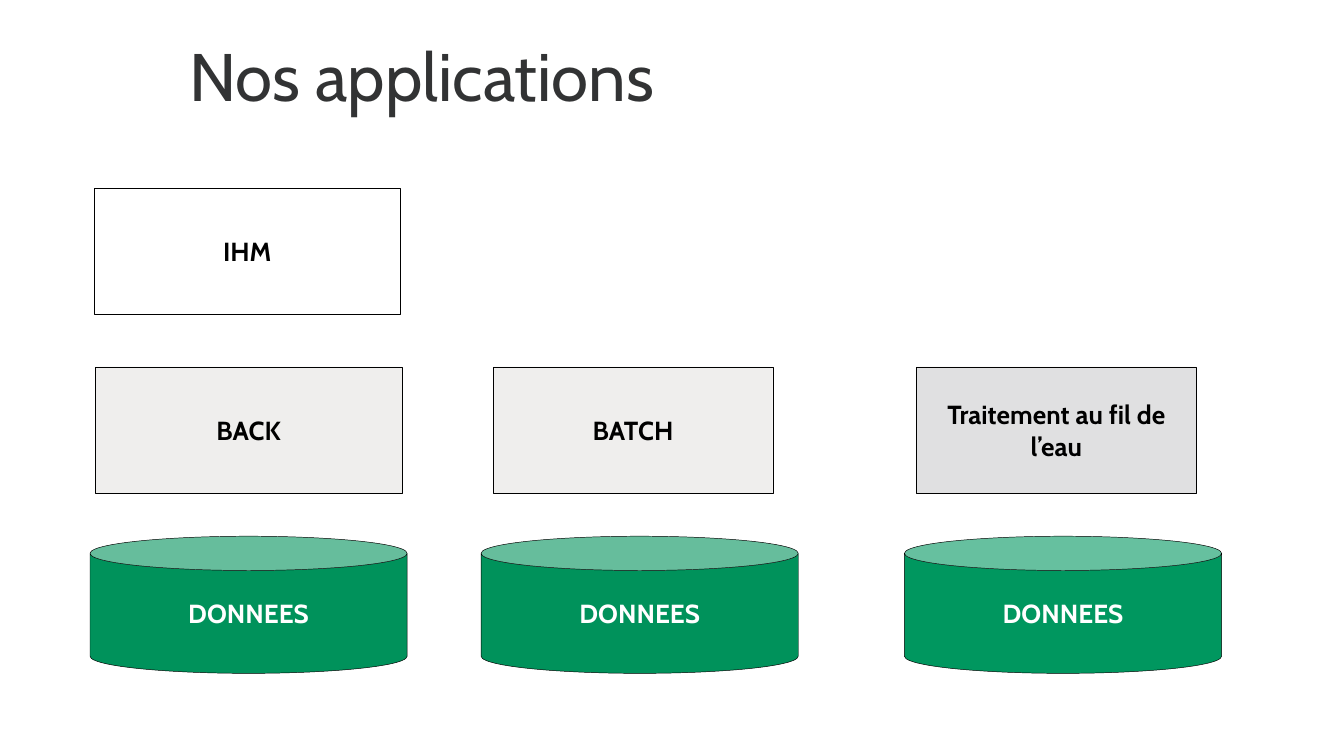
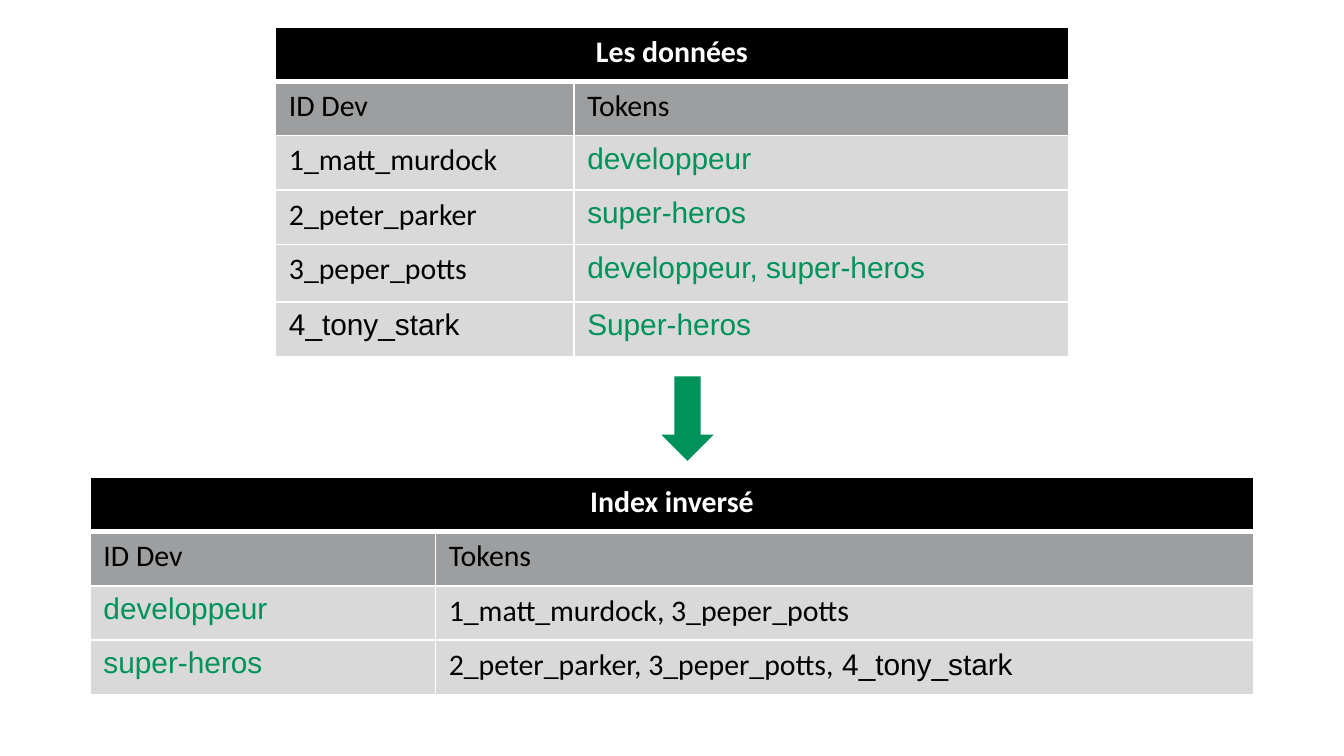
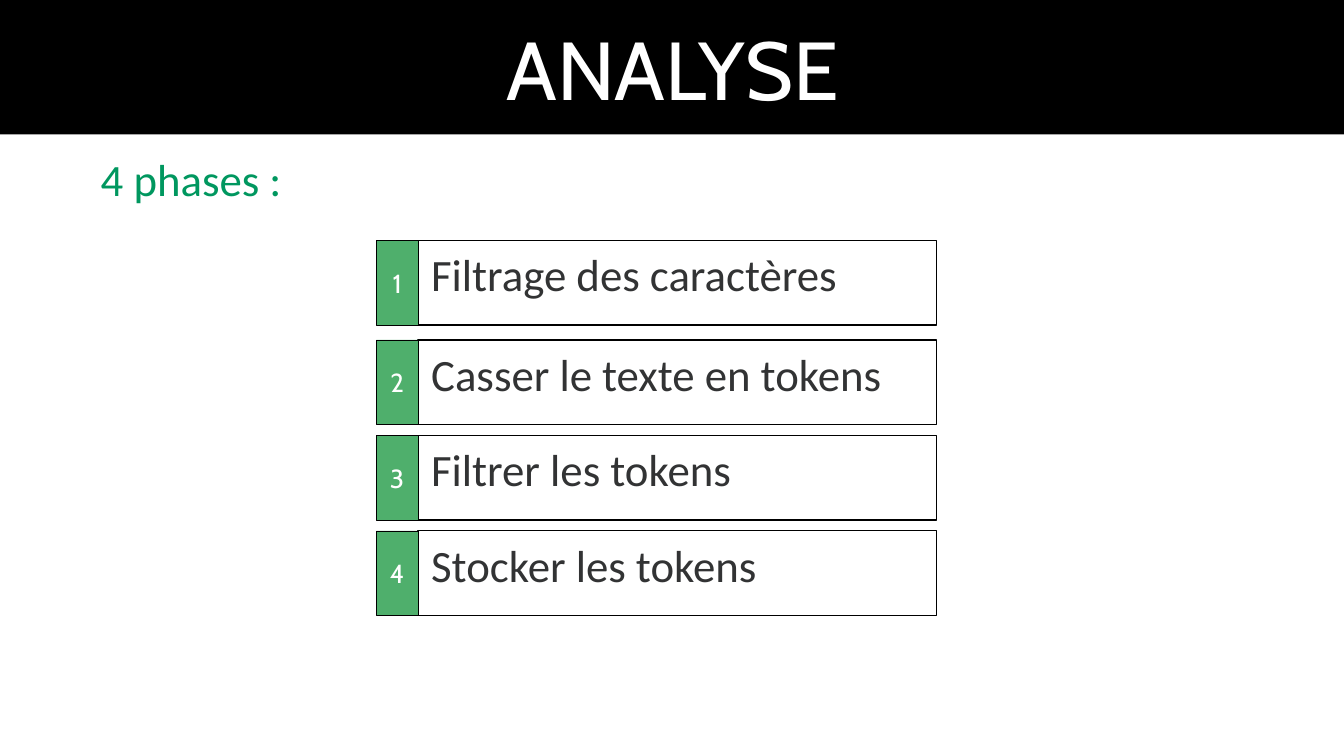
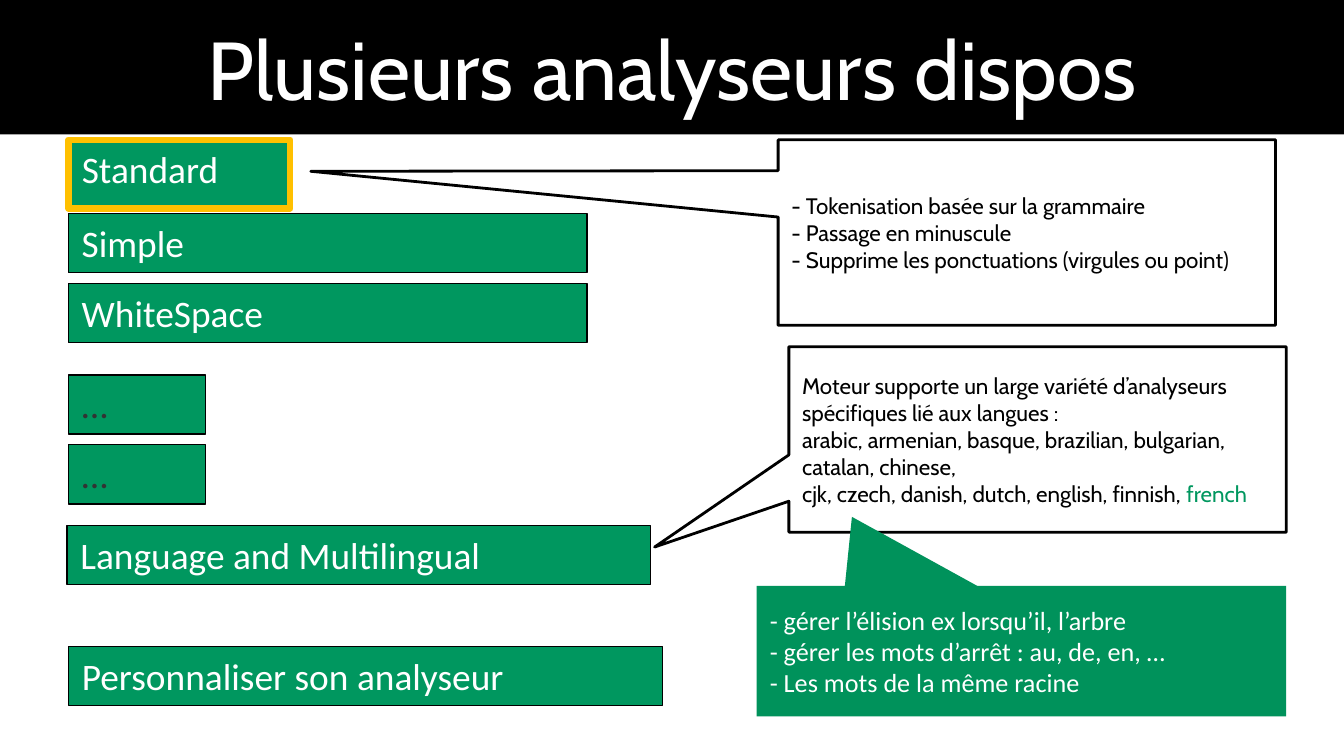
import dataclasses
import typing

import lxml.etree
import pptx
import pptx.dml.color
import pptx.enum.shapes
import pptx.enum.text
import pptx.oxml.ns
import pptx.presentation
import pptx.slide
import pptx.table
import pptx.text.text
import pptx.util

Inches = pptx.util.Inches
Shape = pptx.enum.shapes.MSO_SHAPE
Align = pptx.enum.text.PP_ALIGN
Anchor = pptx.enum.text.MSO_ANCHOR

BLACK = "000000"
WHITE = "FFFFFF"
INK = "323334"
GREEN = "00925B"
BRIGHT_GREEN = "00975F"
NUMBER_GREEN = "4FAF6C"
AMBER = "FFC000"
LIGHT_GREY = "EFEEED"
MID_GREY = "E0E0E1"
HEAD_GREY = "9C9E9F"
CELL_GREY = "D9D9D9"
ROW_HEIGHT = 1.62 / 4


@dataclasses.dataclass(frozen=True)
class Style:
    size: float
    font: str
    color: str
    bold: bool = False
    align: Align = Align.LEFT
    anchor: Anchor = Anchor.TOP
    inset: float = 0.05


class Run(typing.NamedTuple):
    text: str
    color: str | None = None
    font: str | None = None


Line = tuple[Run, ...]


@dataclasses.dataclass(frozen=True)
class Box:
    left: float
    top: float
    width: float
    height: float
    style: Style
    lines: tuple[Line, ...] = ()
    fill: str | None = None
    line: str | None = None
    line_width: float = 0.25
    preset: Shape = Shape.RECTANGLE
    adjustments: tuple[float, ...] = ()


@dataclasses.dataclass(frozen=True)
class Grid:
    left: float
    top: float
    columns: tuple[float, ...]
    heights: tuple[float, ...]
    title: str
    rows: tuple[tuple[Line, ...], ...]


TITLE = Style(36, "Cabin", INK)
BAND = Style(44, "Cabin", WHITE, False, Align.CENTER, Anchor.MIDDLE, 0.1)
BLOCK = Style(14, "Cabin", BLACK, True, Align.CENTER, Anchor.MIDDLE, 0.1)
DATA = dataclasses.replace(BLOCK, color=WHITE)
NUMBER = dataclasses.replace(DATA, bold=False)
PHASE = Style(24, "Calibri", INK)
INTRO = dataclasses.replace(PHASE, color=BRIGHT_GREEN, align=Align.CENTER)
ANALYZER = Style(20, "Calibri", WHITE)
ELLIPSIS = dataclasses.replace(ANALYZER, color=INK)
NOTE = Style(12, "Cabin", BLACK, anchor=Anchor.MIDDLE, inset=0.1)
FRENCH_NOTE = dataclasses.replace(NOTE, size=14, font="Calibri", color=WHITE)
CELL = Style(16, "Calibri", BLACK)
HEADER = Style(16, "Calibri", WHITE, True, Align.CENTER)


def rgb(color: str) -> pptx.dml.color.RGBColor:
    return pptx.dml.color.RGBColor.from_string(color)


def plain(*texts: str) -> tuple[Line, ...]:
    return tuple((Run(text),) for text in texts)


def write(tf: pptx.text.text.TextFrame, lines: tuple[Line, ...], style: Style) -> None:
    for i, line in enumerate(lines):
        p = tf.paragraphs[0] if i == 0 else tf.add_paragraph()
        p.alignment = style.align
        for part in line:
            r = p.add_run()
            r.text = part.text
            r.font.size = pptx.util.Pt(style.size)
            r.font.name = part.font or style.font
            r.font.bold = style.bold
            r.font.color.rgb = rgb(part.color or style.color)


def draw_box(s: pptx.slide.Slide, box: Box) -> None:
    area = [Inches(v) for v in (box.left, box.top, box.width, box.height)]
    if box.fill or box.line:
        sp = s.shapes.add_shape(box.preset, *area)
        sp.shadow.inherit = False
        for i, value in enumerate(box.adjustments):
            sp.adjustments[i] = value
        if box.fill:
            sp.fill.solid()
            sp.fill.fore_color.rgb = rgb(box.fill)
        else:
            sp.fill.background()
        if box.line:
            sp.line.color.rgb = rgb(box.line)
            sp.line.width = pptx.util.Pt(box.line_width)
        else:
            sp.line.fill.background()
    else:
        sp = s.shapes.add_textbox(*area)
    tf = sp.text_frame
    tf.word_wrap = True
    tf.vertical_anchor = box.style.anchor
    tf.margin_left = tf.margin_right = Inches(0.1)
    tf.margin_top = tf.margin_bottom = Inches(box.style.inset)
    write(tf, box.lines, box.style)


def draw_band(s: pptx.slide.Slide, title: str) -> None:
    draw_box(s, Box(0, 0, 10.01, 1, BAND, plain(title), BLACK))


def set_borders(cell: pptx.table._Cell, top: float, bottom: float) -> None:
    tc_pr = cell._tc.get_or_add_tcPr()
    qn = pptx.oxml.ns.qn
    for side, width in (("L", 1), ("R", 1), ("T", top), ("B", bottom)):
        ln = lxml.etree.SubElement(tc_pr, qn(f"a:ln{side}"), w=str(pptx.util.Pt(width)))
        fill = lxml.etree.SubElement(ln, qn("a:solidFill"))
        lxml.etree.SubElement(fill, qn("a:srgbClr"), val=WHITE)


def fill_cell(cell: pptx.table._Cell, row: int, line: Line) -> None:
    set_borders(cell, 3 if row == 1 else 1, 3 if row == 0 else 1)
    cell.fill.solid()
    cell.fill.fore_color.rgb = rgb((BLACK, HEAD_GREY)[row] if row < 2 else CELL_GREY)
    write(cell.text_frame, (line,), HEADER if row == 0 else CELL)


def draw_grid(s: pptx.slide.Slide, grid: Grid) -> None:
    frame = s.shapes.add_table(
        len(grid.heights), len(grid.columns), Inches(grid.left), Inches(grid.top),
        Inches(sum(grid.columns)), Inches(sum(grid.heights)),
    )
    table = frame.table
    for column, width in zip(table.columns, grid.columns):
        column.width = Inches(width)
    for row, height in zip(table.rows, grid.heights):
        row.height = Inches(height)
    table.cell(0, 0).merge(table.cell(0, len(grid.columns) - 1))
    fill_cell(table.cell(0, 0), 0, (Run(grid.title),))
    for i, cells in enumerate((plain("ID Dev", "Tokens"), *grid.rows), 1):
        for j, line in enumerate(cells):
            fill_cell(table.cell(i, j), i, line)


def new_slide(prs: pptx.presentation.Presentation) -> pptx.slide.Slide:
    return prs.slides.add_slide(prs.slide_layouts[6])


def applications(prs: pptx.presentation.Presentation) -> None:
    s = new_slide(prs)
    draw_box(s, Box(1.31, 0.21, 6.13, 0.54, TITLE, plain("Nos applications")))
    for left, top, width, text, fill in (
        (0.7, 1.4, 2.28, "IHM", WHITE),
        (0.71, 2.73, 2.28, "BACK", LIGHT_GREY),
        (3.67, 2.73, 2.08, "BATCH", LIGHT_GREY),
        (6.82, 2.73, 2.08, "Traitement au fil de l’eau", MID_GREY),
    ):
        draw_box(s, Box(left, top, width, 0.94, BLOCK, plain(text), fill, BLACK))
    for left, fill in ((0.67, GREEN), (3.58, GREEN), (6.73, BRIGHT_GREEN)):
        draw_box(s, Box(left, 3.99, 2.36, 1.02, DATA, plain("DONNEES"), fill, BLACK,
                        preset=Shape.CAN))


def token(text: str) -> Line:
    return (Run(text, GREEN, "Arial"),)


def inverted_index(prs: pptx.presentation.Presentation) -> None:
    s = new_slide(prs)
    draw_grid(s, Grid(
        2.05, 0.2, (2.22, 3.68), (ROW_HEIGHT,) * 4 + (0.43, ROW_HEIGHT), "Les données",
        (
            ((Run("1_matt_murdock"),), token("developpeur")),
            ((Run("2_peter_parker"),), token("super-heros")),
            ((Run("3_peper_potts"),), token("developpeur, super-heros")),
            ((Run("4_tony_stark", font="Arial"),), token("Super-heros")),
        ),
    ))
    draw_grid(s, Grid(
        0.67, 3.55, (2.57, 6.09), (ROW_HEIGHT,) * 4, "Index inversé",
        (
            (token("developpeur"), (Run("1_matt_murdock, 3_peper_potts"),)),
            (token("super-heros"), (Run("2_peter_parker, 3_peper_potts,"),
                                    Run(" 4_tony_stark", font="Arial"))),
        ),
    ))
    draw_box(s, Box(4.92, 2.8, 0.39, 0.63, CELL, fill=GREEN, preset=Shape.DOWN_ARROW))


def analysis(prs: pptx.presentation.Presentation) -> None:
    s = new_slide(prs)
    draw_band(s, "ANALYSE")
    draw_box(s, Box(0.12, 1.08, 2.68, 0.63, INTRO, plain("4 phases : ")))
    phases = (
        (1.79, "Filtrage des caractères"),
        (2.53, "Casser le texte en tokens"),
        (3.24, "Filtrer les tokens"),
        (3.95, "Stocker les tokens"),
    )
    for number, (top, phase) in enumerate(phases, 1):
        draw_box(s, Box(3.11, top, 3.86, 0.63, PHASE, plain(phase), None, BLACK, 0.75))
        draw_box(s, Box(2.8, top, 0.31, 0.63, NUMBER, plain(str(number)), NUMBER_GREEN, BLACK))


def analyzers(prs: pptx.presentation.Presentation) -> None:
    s = new_slide(prs)
    draw_band(s, "Plusieurs analyseurs dispos")
    draw_box(s, Box(0.51, 1.04, 1.65, 0.51, ANALYZER, plain("Standard"),
                    BRIGHT_GREEN, AMBER, 3.5))
    for left, top, width, text, style in (
        (0.51, 1.59, 3.86, "Simple", ANALYZER),
        (0.51, 2.11, 3.86, "WhiteSpace", ANALYZER),
        (0.51, 2.79, 1.02, "…", ELLIPSIS),
        (0.51, 3.31, 1.02, "…", ELLIPSIS),
        (0.5, 3.91, 4.34, "Language and Multilingual", ANALYZER),
        (0.51, 4.81, 4.42, "Personnaliser son analyseur", ANALYZER),
    ):
        draw_box(s, Box(left, top, width, 0.44, style, plain(text), BRIGHT_GREEN, BLACK, 0.75))
    standard_lines = plain(
        "- Tokenisation basée sur la grammaire",
        "- Passage en minuscule",
        "- Supprime les ponctuations (virgules ou point)",
    )
    language_lines = (
        *plain(
            "Moteur supporte un large variété d’analyseurs spécifiques lié aux langues :",
            "arabic, armenian, basque, brazilian, bulgarian, catalan, chinese,",
        ),
        (Run("cjk, czech, danish, dutch, english, finnish, "), Run("french", BRIGHT_GREEN)),
    )
    for left, top, lines, tip in (
        (5.79, 1.04, standard_lines, (-1.44, -0.33)),
        (5.87, 2.58, language_lines, (-0.77, 0.58)),
    ):
        draw_box(s, Box(left, top, 3.7, 1.38, NOTE, lines, WHITE, BLACK, 1.5,
                        Shape.RECTANGULAR_CALLOUT, tip))
    french_lines = plain(
        "- gérer l’élision ex lorsqu’il, l’arbre",
        "- gérer les mots d’arrêt : au, de, en, …",
        "- Les mots de la même racine",
    )
    draw_box(s, Box(5.63, 4.36, 3.94, 0.97, FRENCH_NOTE, french_lines, GREEN,
                    preset=Shape.RECTANGULAR_CALLOUT, adjustments=(-0.32, -1.03)))


def main() -> None:
    prs = pptx.Presentation()
    prs.slide_width = Inches(10)
    prs.slide_height = Inches(10 * 9 / 16)
    for build in (applications, inverted_index, analysis, analyzers):
        build(prs)
    prs.save("out.pptx")


if __name__ == "__main__":
    main()
